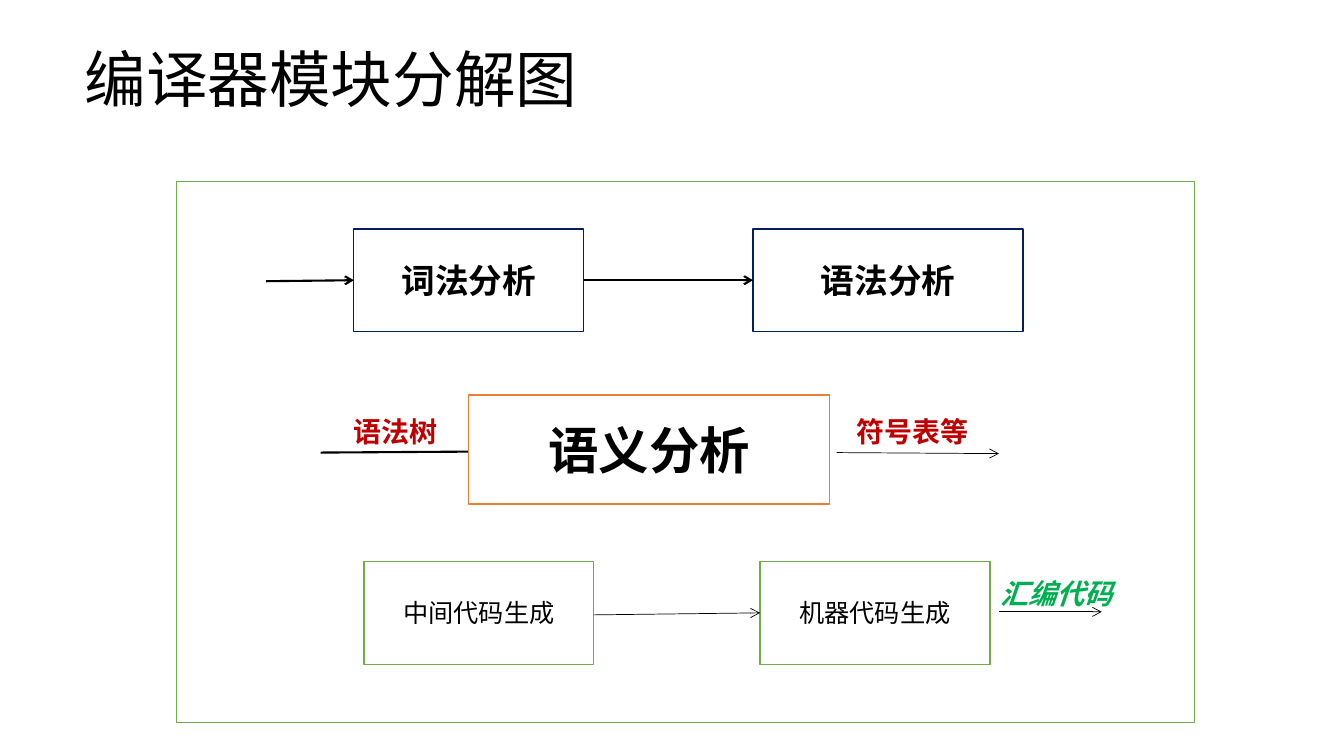
from lxml.etree import SubElement
from pptx import Presentation
from pptx.dml.color import RGBColor
from pptx.enum.shapes import MSO_CONNECTOR, MSO_SHAPE
from pptx.enum.text import MSO_ANCHOR, MSO_AUTO_SIZE, PP_ALIGN
from pptx.oxml.ns import qn
from pptx.util import Inches, Pt

# Grid: every column and row is a tenth of an inch
COLUMNS, ROWS = 133.33, 75
GREEN, NAVY, ORANGE = "70AD47", "002060", "ED7D31"
BLACK, WHITE, RED, LEAF = "000000", "FFFFFF", "C00000", "00B050"
FONT = "Calibri"


def grid(*cells):
    return [Inches(cell / 10) for cell in cells]


def color(hex_string):
    return RGBColor.from_string(hex_string)


def write(frame, words, size, ink=BLACK, align=PP_ALIGN.LEFT, **style):
    frame.word_wrap = True
    paragraph = frame.paragraphs[0]
    paragraph.alignment = align
    run = paragraph.add_run()
    run.text = words
    run.font.color.rgb = color(ink)
    for name, value in {"name": FONT, "size": Pt(size), **style}.items():
        setattr(run.font, name, value)
    return paragraph


def add_box(slide, at, edge):
    box = slide.shapes.add_shape(MSO_SHAPE.RECTANGLE, *grid(*at))
    box.shadow.inherit = False
    box.fill.solid()
    box.fill.fore_color.rgb = color(WHITE)
    box.line.color.rgb = color(edge)
    box.line.width = Pt(1)
    return box


def add_module(slide, at, words, edge, size, bold=True):
    frame = add_box(slide, at, edge).text_frame
    frame.vertical_anchor = MSO_ANCHOR.MIDDLE
    write(frame, words, size, align=PP_ALIGN.CENTER, bold=bold)


def add_label(slide, at, words, ink, italic=None):
    frame = slide.shapes.add_textbox(*grid(*at)).text_frame
    write(frame, words, 20, ink, bold=True, italic=italic)
    frame.auto_size = MSO_AUTO_SIZE.SHAPE_TO_FIT_TEXT


def add_arrow(slide, start, end, weight):
    arrow = slide.shapes.add_connector(
        MSO_CONNECTOR.STRAIGHT, *grid(*start, *end))
    arrow.line.color.rgb = color(BLACK)
    arrow.line.width = Pt(weight)
    SubElement(arrow.line._get_or_add_ln(), qn("a:tailEnd"), type="arrow")
    SubElement(arrow._element.spPr, qn("a:effectLst"))


def title(slide, left, top, width, height):
    frame = slide.shapes.add_textbox(*grid(left, top, width, height)).text_frame
    frame.vertical_anchor = MSO_ANCHOR.MIDDLE
    write(frame, "编译器模块分解图", 44).line_spacing = 0.9


# Lexer feeds the parser
def front_end(slide, left, top, width, height):
    lexer, lexer_width = left + 8.7, 22.8
    parser_width = 26.8
    parser = left + width - parser_width
    middle = top + height / 2
    add_module(slide, (lexer, top, lexer_width, height), "词法分析", NAVY, 24)
    add_module(slide, (parser, top, parser_width, height), "语法分析", NAVY, 24)
    add_arrow(slide, (left, middle + 0.1), (lexer, middle), 1.5)
    add_arrow(slide, (lexer + lexer_width, middle), (parser, middle), 1.5)


# Syntax tree goes in, symbol table comes out
def semantic_analysis(slide, left, top, width, height):
    analyzer, analyzer_width = left + 14.7, 35.8
    output, right = left + 51.2, left + width
    level, label_top = top + 5.7, top + 1.4
    add_label(slide, (left + 2.3, label_top, 11, 4.4), "语法树", RED)
    # The analyzer covers the head of the incoming arrow
    add_arrow(slide, (left, level), (analyzer + 1, level - 0.1), 1.5)
    add_module(slide, (analyzer, top, analyzer_width, height),
               "语义分析", ORANGE, 36)
    add_arrow(slide, (output, level), (right, level + 0.1), 0.5)
    add_label(slide, (output + 1, label_top, 14.3, 4.4), "符号表等", RED)


# Intermediate code becomes machine code, then assembly
def code_generation(slide, left, top, width, height):
    module_width, middle = 22.8, top + height / 2
    machine, right = left + 39.3, left + width
    for module, words in ((left, "中间代码生成"), (machine, "机器代码生成")):
        add_module(slide, (module, top, module_width, height),
                   words, GREEN, 18, bold=None)
    add_arrow(slide, (left + module_width, middle + 0.2),
              (machine, middle), 0.5)
    add_label(slide, (machine + module_width + 0.1, top + 1, 13.4, 4.4),
              "汇编代码", LEAF, italic=True)
    add_arrow(slide, (right - 10.2, top + 5), (right, top + 5), 0.5)


# Framed diagram with one stage per row
def diagram(slide, left, top, width, height):
    add_box(slide, (left, top, width, height), GREEN)
    front_end(slide, left + 8.9, top + 4.7, 75.1, 10.2)
    semantic_analysis(slide, left + 14.3, top + 21.2, 67.3, 10.8)
    code_generation(slide, left + 18.6, top + 37.7, 73.2, 10.2)


deck = Presentation()
deck.slide_width, deck.slide_height = grid(COLUMNS, ROWS)
compiler_slide = deck.slides.add_slide(deck.slide_layouts[6])
title(compiler_slide, 7.4, 1.9, 90, 12.5)
diagram(compiler_slide, 17.5, 18, 101, 53.7)
deck.save("out.pptx")
